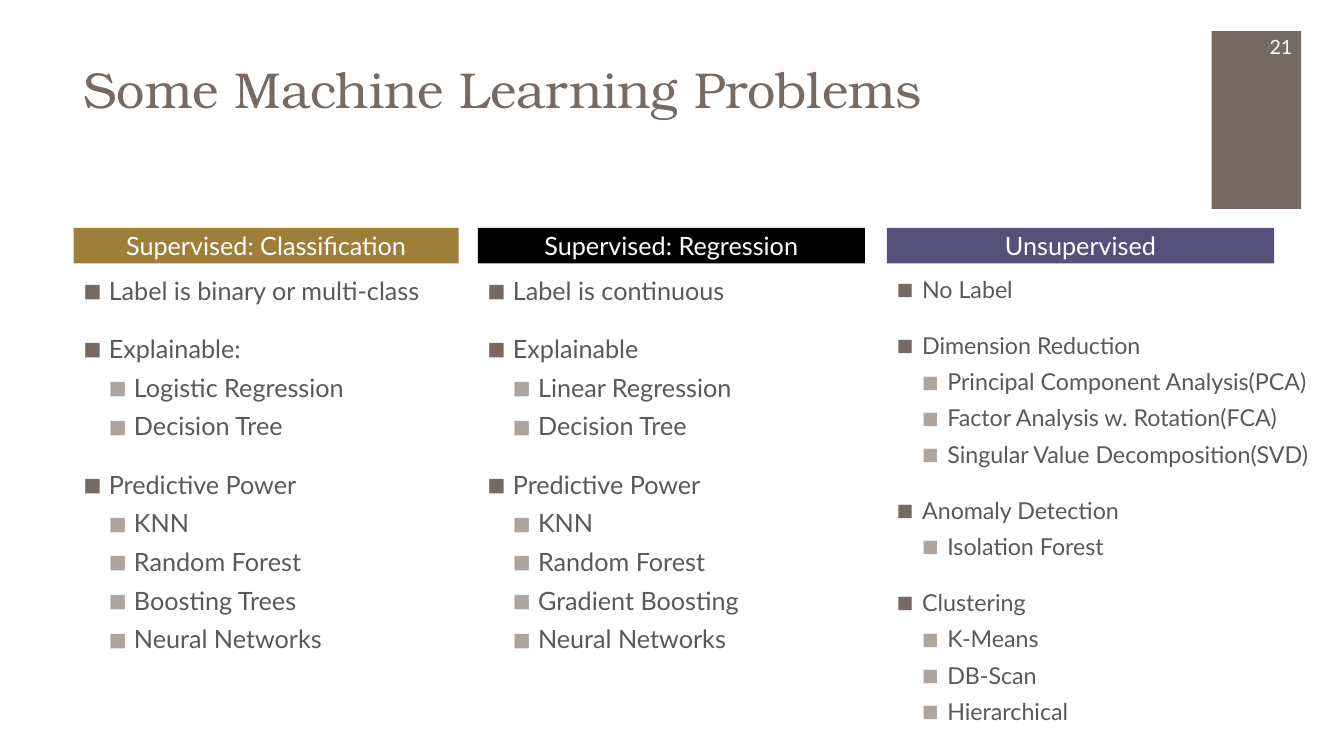
from dataclasses import dataclass

from lxml.etree import SubElement
from pptx import Presentation
from pptx.dml.color import RGBColor
from pptx.enum.shapes import MSO_SHAPE
from pptx.enum.text import MSO_ANCHOR, MSO_AUTO_SIZE, PP_ALIGN
from pptx.oxml.ns import qn
from pptx.util import Pt


@dataclass(frozen=True)
class Theme:
    heading_font: str = "TeX Gyre Bonum"
    body_font: str = "Lato"
    taupe: str = "766A62"
    light_taupe: str = "AFA59F"
    gold: str = "9E7E38"
    black: str = "000000"
    purple: str = "55517B"
    grey: str = "595959"
    white: str = "FFFFFF"
    title_size: float = 36
    body_size: float = 18
    dense_size: float = 16.6
    number_size: float = 14


THEME = Theme()
INDENT = 18
HEADER_TOP, HEADER_HEIGHT = 162.7, 25.4
LIST_TOP, LIST_HEIGHT = 193, 289.4

# Each list item is (level, text)
CLASSIFICATION = [
    (0, "Label is binary or multi-class"),
    (0, "Explainable:"), (1, "Logistic Regression"), (1, "Decision Tree"),
    (0, "Predictive Power"), (1, "KNN"), (1, "Random Forest"),
    (1, "Boosting Trees"), (1, "Neural Networks"),
]
REGRESSION = [
    (0, "Label is continuous"),
    (0, "Explainable"), (1, "Linear Regression"), (1, "Decision Tree"),
    (0, "Predictive Power"), (1, "KNN"), (1, "Random Forest"),
    (1, "Gradient Boosting"), (1, "Neural Networks"),
]
UNSUPERVISED = [
    (0, "No Label"),
    (0, "Dimension Reduction"), (1, "Principal Component Analysis(PCA)"),
    (1, "Factor Analysis w. Rotation(FCA)"),
    (1, "Singular Value Decomposition(SVD)"),
    (0, "Anomaly Detection"), (1, "Isolation Forest"),
    (0, "Clustering"), (1, "K-Means"), (1, "DB-Scan"), (1, "Hierarchical"),
]

# Left, header width, list width, header, fill, type size, items
COLUMNS = [
    (52.6, 275, 275, "Supervised: Classification", THEME.gold,
     THEME.body_size, CLASSIFICATION),
    (341.3, 276.5, 276.5, "Supervised: Regression", THEME.black,
     THEME.body_size, REGRESSION),
    (633.6, 276.5, 326.4, "Unsupervised", THEME.purple,
     THEME.dense_size, UNSUPERVISED),
]


def format_runs(p, size, color, font=THEME.body_font):
    for r in p.runs:
        r.font.size = Pt(size)
        r.font.name = font
        r.font.color.rgb = RGBColor.from_string(color)


def add_title(s, text):
    title = s.shapes.title
    title.left, title.top = Pt(52.6), Pt(38.2)
    title.width, title.height = Pt(793.4), Pt(87.8)
    tf = title.text_frame
    tf.text = text
    tf.auto_size = MSO_AUTO_SIZE.NONE
    tf.vertical_anchor = MSO_ANCHOR.TOP
    p = tf.paragraphs[0]
    p.alignment = PP_ALIGN.LEFT
    format_runs(p, THEME.title_size, THEME.taupe, THEME.heading_font)


def add_block(s, left, top, width, height, fill):
    sp = s.shapes.add_shape(MSO_SHAPE.RECTANGLE, Pt(left), Pt(top),
                            Pt(width), Pt(height))
    sp.shadow.inherit = False
    sp.fill.solid()
    sp.fill.fore_color.rgb = RGBColor.from_string(fill)
    sp.line.fill.background()
    return sp


def add_header(s, left, width, text, fill):
    tf = add_block(s, left, HEADER_TOP, width, HEADER_HEIGHT, fill).text_frame
    tf.margin_top = tf.margin_bottom = 0
    tf.vertical_anchor = MSO_ANCHOR.MIDDLE
    tf.text = text
    tf.paragraphs[0].alignment = PP_ALIGN.CENTER
    format_runs(tf.paragraphs[0], THEME.body_size, THEME.white)


def add_text_box(s, left, top, width, height):
    tf = s.shapes.add_textbox(Pt(left), Pt(top), Pt(width), Pt(height)).text_frame
    tf.word_wrap = True
    return tf


def set_bullet(p, level):
    p.level = level
    pPr = p._p.get_or_add_pPr()
    pPr.set("marL", str(Pt(INDENT * (level + 1))))
    pPr.set("indent", str(-Pt(INDENT)))
    color = SubElement(pPr, qn("a:buClr"))
    SubElement(color, qn("a:srgbClr"),
               val=THEME.light_taupe if level else THEME.taupe)
    SubElement(pPr, qn("a:buSzPct"), val="75000")
    SubElement(pPr, qn("a:buFont"), typeface=THEME.body_font)
    SubElement(pPr, qn("a:buChar"), char="■")


def add_list(s, left, width, size, items):
    tf = add_text_box(s, left, LIST_TOP, width, LIST_HEIGHT)
    for i, (level, text) in enumerate(items):
        p = tf.add_paragraph() if i else tf.paragraphs[0]
        p.text = text
        set_bullet(p, level)
        if i:
            p.space_before = Pt(6 if level else 20)
        format_runs(p, size, THEME.grey)


def add_slide_number(s, number):
    add_block(s, 865.4, 22.3, 64.1, 127, THEME.taupe)
    tf = add_text_box(s, 871.9, 18.7, 58.3, 28.8)
    tf.vertical_anchor = MSO_ANCHOR.MIDDLE
    tf.text = number
    tf.paragraphs[0].alignment = PP_ALIGN.RIGHT
    format_runs(tf.paragraphs[0], THEME.number_size, THEME.white)


def main():
    prs = Presentation()
    prs.slide_width, prs.slide_height = Pt(960), Pt(540)
    s = prs.slides.add_slide(prs.slide_layouts.get_by_name("Title Only"))

    # Title and page number
    add_title(s, "Some Machine Learning Problems")
    add_slide_number(s, "21")

    # Three problem families
    for left, header_width, list_width, header, fill, size, items in COLUMNS:
        add_header(s, left, header_width, header, fill)
        add_list(s, left, list_width, size, items)

    prs.save("out.pptx")


if __name__ == "__main__":
    main()
